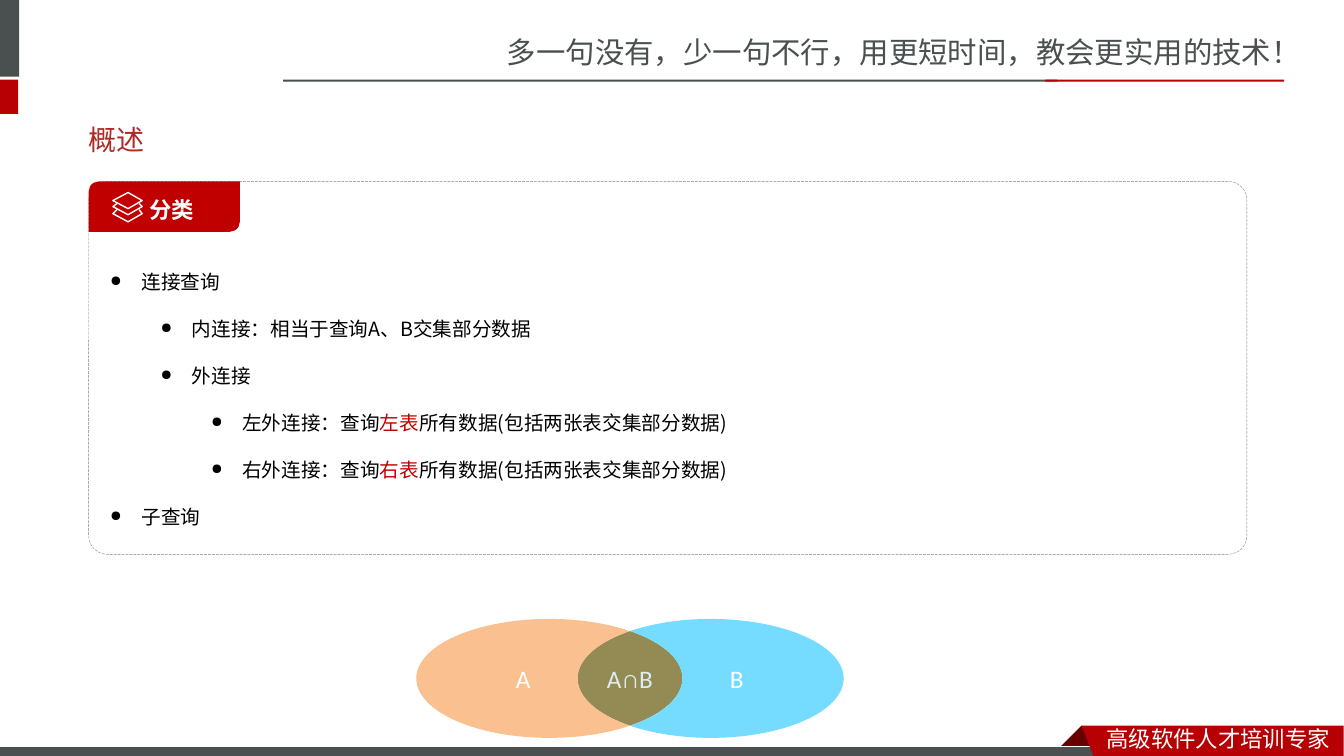
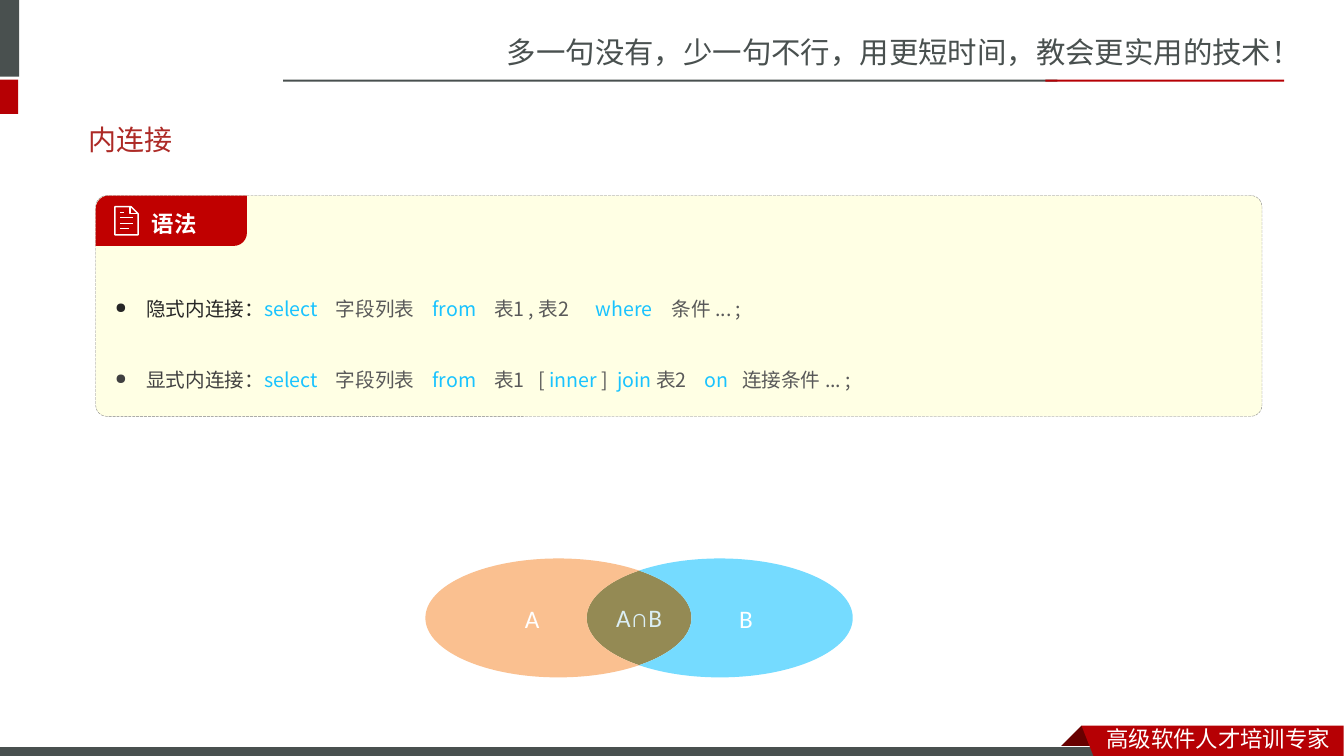
"""Build two slides on SQL join queries with a shared banner and footer."""
from math import acos, cos, pi, sin, tan

from lxml import etree
from pptx import Presentation
from pptx.dml.color import RGBColor
from pptx.enum.dml import MSO_LINE
from pptx.enum.shapes import MSO_SHAPE
from pptx.enum.text import MSO_ANCHOR, PP_ALIGN
from pptx.oxml.ns import qn
from pptx.util import Inches, Pt

RECTANGLE = MSO_SHAPE.RECTANGLE
ROUNDED = MSO_SHAPE.ROUNDED_RECTANGLE
DIAGONAL = MSO_SHAPE.ROUND_2_DIAG_RECTANGLE
LONG_DASH = MSO_LINE.LONG_DASH
TOP, MIDDLE = MSO_ANCHOR.TOP, MSO_ANCHOR.MIDDLE
LEFT, CENTER = PP_ALIGN.LEFT, PP_ALIGN.CENTER

GRAY, RED, DARK_RED = "49504F", "B60004", "680000"
TITLE_RED, LABEL_RED, BORDER = "AD2A26", "C00000", "808080"
WHITE, BLACK, CREAM = "FFFFFF", "000000", "FFFFE4"
KEYWORD, PLAIN = "19C3FF", "595959"
ORANGE, SKY, OLIVE, PALE = "FAC090", "75DBFF", "948A54", "DBEEF4"
SANS, BODY = "Noto Sans CJK SC", "Noto Sans CJK JP"
INDENT = 0.31
RADIUS_X, RADIUS_Y = 1.32, 0.59

LAYERS_ICON = [
    ([(0.01, 0.09), (0.16, 0.01), (0.3, 0.09), (0.16, 0.17)], True),
    ([(0.05, 0.12), (0.01, 0.15), (0.16, 0.23), (0.3, 0.15), (0.27, 0.12)], False),
    ([(0.05, 0.18), (0.01, 0.22), (0.16, 0.3), (0.3, 0.22), (0.27, 0.18)], False),
]
DOCUMENT_ICON = [
    ([(0.01, 0.01), (0.17, 0.01), (0.24, 0.08), (0.24, 0.29), (0.01, 0.29)], True),
    ([(0.16, 0.01), (0.16, 0.08), (0.24, 0.08)], False),
    ([(0.06, 0.07), (0.1, 0.07)], False),
    ([(0.06, 0.12), (0.19, 0.12)], False),
    ([(0.06, 0.18), (0.19, 0.18)], False),
    ([(0.06, 0.23), (0.15, 0.23)], False),
]


def color(value):
    """Return the colour for a hex string."""
    return RGBColor.from_string(value)


def paint(shape, fill=None, line=None, width=0.75):
    """Set fill and outline of a shape and remove its shadow."""
    shape.shadow.inherit = False
    if fill:
        shape.fill.solid()
        shape.fill.fore_color.rgb = color(fill)
    else:
        shape.fill.background()
    if line:
        shape.line.color.rgb = color(line)
        shape.line.width = Pt(width)
    else:
        shape.line.fill.background()
    return shape


def add_block(page, kind, place, fill=None, line=None, width=0.75):
    """Add a preset shape."""
    shape = page.shapes.add_shape(kind, *map(Inches, place))
    return paint(shape, fill, line, width)


def add_outline(page, contours, fill=None, line=None, width=0.75):
    """Add a freeform made of contours, each a list of points and a closed flag."""
    builder = None
    for points, closed in contours:
        start, *others = [(Inches(x), Inches(y)) for x, y in points]
        if builder is None:
            builder = page.shapes.build_freeform(*start)
        else:
            builder.move_to(*start)
        builder.add_line_segments(others, close=closed)
    return paint(builder.convert_to_shape(), fill, line, width)


def bend(shape):
    """Turn each three line segments of a freeform into one cubic curve."""
    lines = list(shape._element.iter(qn("a:lnTo")))
    for index in range(0, len(lines), 3):
        curve = etree.Element(qn("a:cubicBezTo"))
        lines[index].addprevious(curve)
        for segment in lines[index:index + 3]:
            curve.append(segment[0])
            segment.getparent().remove(segment)


def set_font(paragraph, size, name, ink, bold=False, asian=None):
    """Set the font shared by all runs of a paragraph."""
    font = paragraph.font
    font.size, font.name, font.bold = Pt(size), name, bold
    font.color.rgb = color(ink)
    defaults = paragraph._p.get_or_add_pPr().get_or_add_defRPr()
    east = etree.Element(qn("a:ea"), typeface=asian or name)
    defaults.find(qn("a:latin")).addnext(east)


def set_frame(shape, anchor=TOP, insets=(0.1, 0.05, 0.1, 0.05)):
    """Set wrapping, anchor and insets of a text frame."""
    frame = shape.text_frame
    frame.word_wrap = True
    frame.vertical_anchor = anchor
    (frame.margin_left, frame.margin_top,
     frame.margin_right, frame.margin_bottom) = map(Inches, insets)
    return frame


def write_line(frame, text, size, name, ink, align=LEFT, **style):
    """Write one line of text into a frame."""
    paragraph = frame.paragraphs[0]
    paragraph.text = text
    paragraph.alignment = align
    set_font(paragraph, size, name, ink, **style)
    return paragraph


def add_label(page, place, text, size, name, ink, anchor=TOP, asian=None):
    """Add a one-line text box."""
    box = page.shapes.add_textbox(*map(Inches, place))
    write_line(set_frame(box, anchor), text, size, name, ink, asian=asian)


def write_bullet(paragraph, spans, level=0, spacing=2.0, stops=()):
    """Write a bulleted paragraph of text and colour spans."""
    paragraph.level = level
    paragraph.alignment = LEFT
    paragraph.line_spacing = spacing
    properties = paragraph._p.get_or_add_pPr()
    properties.set("marL", str(Inches(INDENT + 0.5 * level)))
    properties.set("indent", str(Inches(-INDENT)))
    etree.SubElement(properties, qn("a:buSzPct"), val="75000")
    etree.SubElement(properties, qn("a:buChar"), char="●")
    if stops:
        tabs = etree.SubElement(properties, qn("a:tabLst"))
        for stop in stops:
            etree.SubElement(tabs, qn("a:tab"), pos=str(Inches(stop)), algn="l")
    set_font(paragraph, 14, BODY, spans[0][1])
    for text, ink in spans:
        span = paragraph.add_run()
        span.text = text
        if ink != spans[0][1]:
            span.font.color.rgb = color(ink)


def add_panel(page, place, rounding, insets, bullets, fill=None):
    """Add a dashed panel holding bulleted text."""
    panel = add_block(page, ROUNDED, place, fill, BORDER, 0.25)
    panel.line.dash_style = LONG_DASH
    panel.adjustments[0] = rounding
    frame = set_frame(panel, TOP, insets)
    for index, bullet in enumerate(bullets):
        paragraph = frame.add_paragraph() if index else frame.paragraphs[0]
        write_bullet(paragraph, **bullet)


def add_tab(page, left, top, text, text_inset, rounding, icon, icon_inset):
    """Add the red heading tab with its icon on a panel corner."""
    tab = add_block(page, DIAGONAL, (left, top, 1.5, 0.5), LABEL_RED)
    tab.adjustments[0], tab.adjustments[1] = rounding, 0
    frame = set_frame(tab, MIDDLE, (text_inset, 0, 0.04, 0.08))
    write_line(frame, text, 16, BODY, WHITE, bold=True).line_spacing = 1.5
    contours = [([(left + icon_inset + x, top + 0.1 + y) for x, y in points], closed)
                for points, closed in icon]
    add_outline(page, contours, line=WHITE, width=1)


def arc(center_x, center_y, *angles):
    """Return curve control points along a Venn ellipse through the angles."""
    def place(angle, pull=0):
        """Return the point at an angle, moved along its tangent."""
        return (center_x + RADIUS_X * (cos(angle) - pull * sin(angle)),
                center_y + RADIUS_Y * (sin(angle) + pull * cos(angle)))

    points = [place(angles[0])]
    for start, end in zip(angles, angles[1:]):
        pull = 4 / 3 * tan((end - start) / 4)
        points += [place(start, pull), place(end, -pull), place(end)]
    return points


def add_venn(page, middle, center_y):
    """Add two overlapping ellipses as three labelled regions."""
    offset = 0.8
    left, right = (middle - offset, center_y), (middle + offset, center_y)
    cross = acos(offset / RADIUS_X)
    overlap = (arc(*left, -cross, 0, cross)
               + arc(*right, pi - cross, pi, pi + cross)[1:])
    right_only = (arc(*right, pi + cross, 1.5 * pi, 2 * pi, 2.5 * pi, 3 * pi - cross)
                  + arc(*left, cross, 0, -cross)[1:])
    left_only = (arc(*left, cross, 0.5 * pi, pi, 1.5 * pi, 2 * pi - cross)
                 + arc(*right, pi + cross, pi, pi - cross)[1:])
    for points, fill, text, ink in ((overlap, OLIVE, "A∩B", PALE),
                                    (right_only, SKY, "B", WHITE),
                                    (left_only, ORANGE, "A", WHITE)):
        region = add_outline(page, [(points, False)], fill)
        bend(region)
        write_line(set_frame(region, MIDDLE), text, 18, "Calibri", ink, CENTER)


def add_page(deck, title):
    """Add a slide with the shared banner, footer and title."""
    page = deck.slides.add_slide(deck.slide_layouts[6])
    add_label(page, (4.93, 0.29, 8.41, 0.47),
              "多一句没有，少一句不行，用更短时间，教会更实用的技术！", 21, SANS, GRAY)
    for place, fill in (((-0.06, 0, 0.25, 0.76), GRAY),
                        ((-0.06, 0.79, 0.24, 0.34), RED),
                        ((2.81, 0.79, 7.68, 0.02), GRAY),
                        ((10.37, 0.79, 2.37, 0.02), RED)):
        add_block(page, RECTANGLE, place, fill)
    fold = [(10.73, 7.2), (10.95, 7.42), (10.94, 7.43), (10.52, 7.43), (10.51, 7.42)]
    ribbon = [(10.73, 7.2), (13.33, 7.2), (13.33, 7.54), (10.86, 7.53)]
    add_outline(page, [(fold, True)], DARK_RED)
    add_block(page, RECTANGLE, (-0.01, 7.41, 11, 0.12), GRAY, WHITE)
    add_outline(page, [(ribbon, True)], RED)
    add_label(page, (10.88, 7.14, 2.45, 0.37), "高级软件人才培训专家", 16, SANS, WHITE)
    add_label(page, (0.78, 1.1, 11.7, 0.57), title, 20, "Roboto", TITLE_RED, MIDDLE, SANS)
    return page


def outer_join(name, table):
    """Return the bullet that explains one outer join."""
    return {"level": 2, "spans": [(f"{name}：查询", BLACK), (table, LABEL_RED),
                                  ("所有数据(包括两张表交集部分数据)", BLACK)]}


def add_overview(deck):
    """Add the slide that classifies multi-table queries."""
    page = add_page(deck, "概述")
    add_venn(page, 6.25, 6.73)
    bullets = [
        {"spans": [("连接查询", BLACK)]},
        {"level": 1, "spans": [("内连接：相当于查询A、B交集部分数据", BLACK)]},
        {"level": 1, "spans": [("外连接", BLACK)]},
        outer_join("左外连接", "左表"),
        outer_join("右外连接", "右表"),
        {"spans": [("子查询", BLACK)]},
    ]
    add_panel(page, (0.88, 1.8, 11.49, 3.7), 0.05, (0.16, 0.59, 0.12, 0.24), bullets)
    add_tab(page, 0.88, 1.8, "分类", 0.57, 0.2, LAYERS_ICON, 0.23)


def add_inner_join(deck):
    """Add the slide on inner join syntax."""
    page = add_page(deck, "内连接")
    shared_stops = (2.19, 3.15, 3.76)
    shared_spans = [("select\t", KEYWORD), ("字段列表\t", PLAIN), ("from\t", KEYWORD)]
    bullets = [
        {"spacing": 3.0, "stops": shared_stops + (4.77, 5.52),
         "spans": [("隐式内连接：", "262626"), *shared_spans, ("表1 , 表2\t", PLAIN),
                   ("where\t", KEYWORD), ("条件 ... ;", PLAIN)]},
        {"spacing": 3.0, "stops": shared_stops + (4.2, 4.98, 5.85, 6.22),
         "spans": [("显式内连接：", "404040"), *shared_spans, ("表1\t[ ", PLAIN),
                   ("inner ", KEYWORD), ("]\t", PLAIN), ("join ", KEYWORD),
                   ("表2\t", PLAIN), ("on\t", KEYWORD), ("连接条件 ... ;", PLAIN)]},
    ]
    add_panel(page, (0.95, 1.94, 11.57, 2.19), 0.05, (0.16, 0.51, 0.08, 0.28),
              bullets, CREAM)
    add_tab(page, 0.95, 1.94, "语法", 0.52, 0.26, DOCUMENT_ICON, 0.18)
    add_venn(page, 6.34, 6.13)


def main():
    """Build and save the deck."""
    deck = Presentation()
    deck.slide_width, deck.slide_height = Inches(40 / 3), Inches(7.5)
    add_overview(deck)
    add_inner_join(deck)
    deck.save("out.pptx")


if __name__ == "__main__":
    main()
